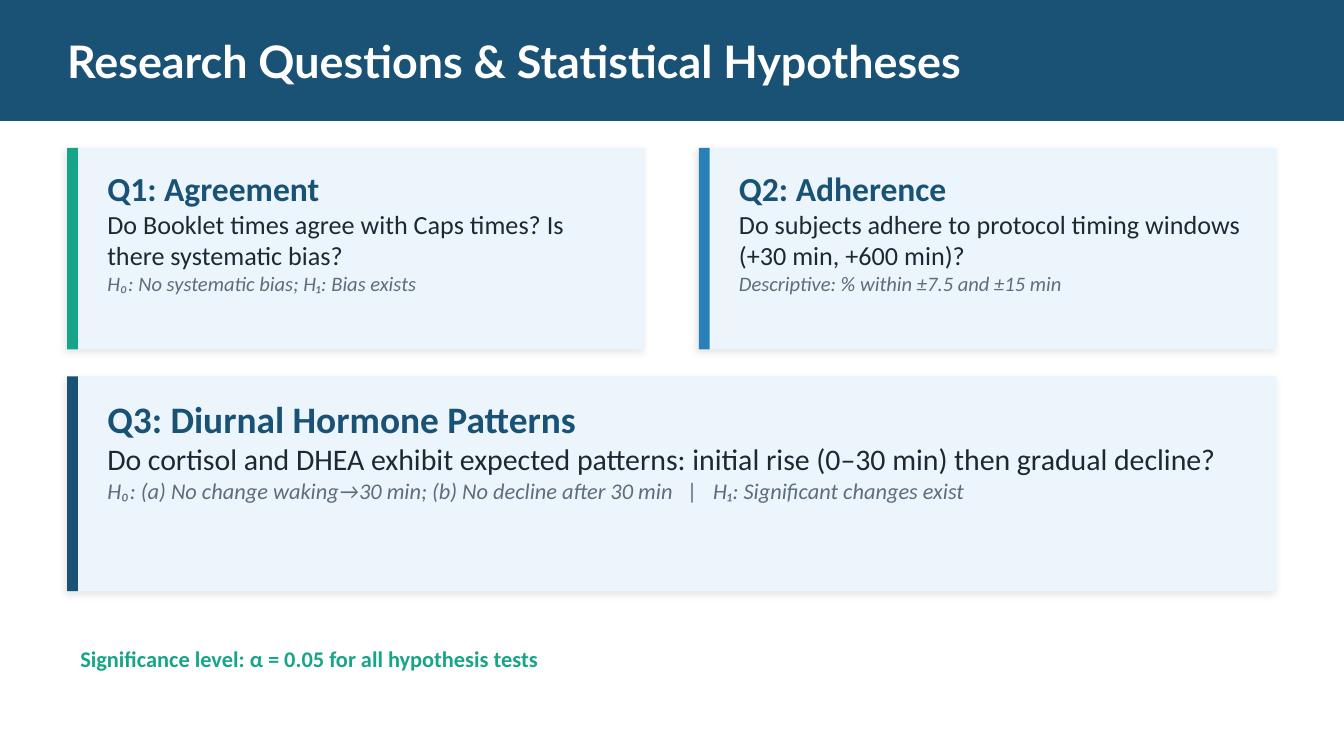
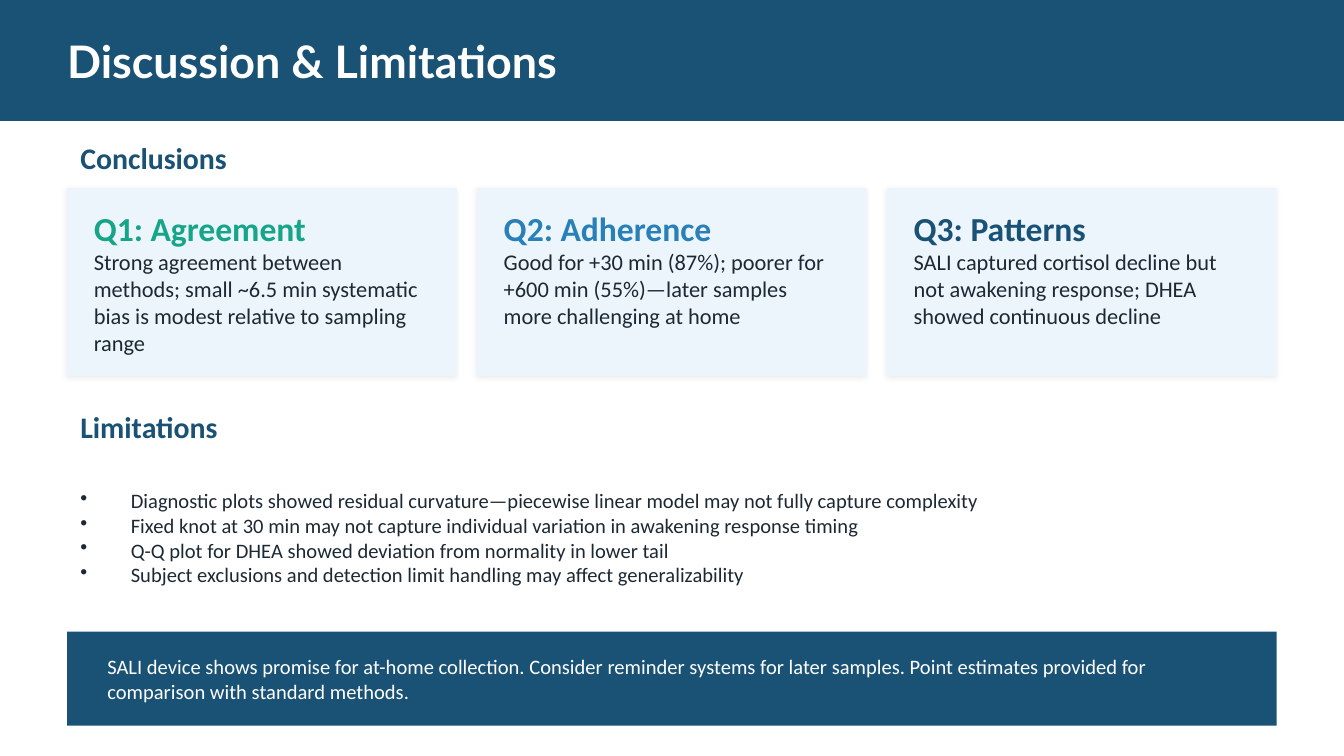
from lxml.etree import SubElement
from pptx import Presentation
from pptx.dml.color import RGBColor
from pptx.enum.shapes import MSO_SHAPE
from pptx.enum.text import MSO_ANCHOR
from pptx.oxml.ns import qn
from pptx.util import Inches, Pt

COLORS = {
    "navy": "1A5276",
    "blue": "2980B9",
    "teal": "17A589",
    "pale": "EBF5FB",
    "ink": "1C2833",
    "gray": "5D6D7E",
    "white": "FFFFFF",
    "black": "000000",
}
BODY_FONT = "Calibri"
TITLE_FONT = "Lato"
PAGE_WIDTH = 10
PAGE_HEIGHT = PAGE_WIDTH * 9 / 16
MARGIN = 0.5
CONTENT_WIDTH = PAGE_WIDTH - 2 * MARGIN

QUESTIONS_TITLE = "Research Questions & Statistical Hypotheses"
QUESTIONS = [
    {"place": (0.5, 1.1, 4.3, 1.5), "text_width": 4, "accent": "teal", "sizes": (18, 14, 11),
     "lines": ("Q1: Agreement",
               "Do Booklet times agree with Caps times? Is there systematic bias?",
               "H₀: No systematic bias; H₁: Bias exists")},
    {"place": (5.2, 1.1, 4.3, 1.5), "text_width": 4, "accent": "blue", "sizes": (18, 14, 11),
     "lines": ("Q2: Adherence",
               "Do subjects adhere to protocol timing windows (+30 min, +600 min)?",
               "Descriptive: % within ±7.5 and ±15 min")},
    {"place": (0.5, 2.8, 9, 1.6), "text_width": 8.7, "accent": "navy", "sizes": (20, 16, 12),
     "lines": ("Q3: Diurnal Hormone Patterns",
               "Do cortisol and DHEA exhibit expected patterns: initial rise (0–30 min) then gradual decline?",
               "H₀: (a) No change waking→30 min; (b) No decline after 30 min   |   H₁: Significant changes exist")},
]
SIGNIFICANCE = "Significance level: α = 0.05 for all hypothesis tests"

DISCUSSION_TITLE = "Discussion & Limitations"
CONCLUSIONS = [
    ("Q1: Agreement", "teal",
     "Strong agreement between methods; small ~6.5 min systematic bias is modest relative to sampling range"),
    ("Q2: Adherence", "blue",
     "Good for +30 min (87%); poorer for +600 min (55%)—later samples more challenging at home"),
    ("Q3: Patterns", "navy",
     "SALI captured cortisol decline but not awakening response; DHEA showed continuous decline"),
]
LIMITATIONS = [
    "Diagnostic plots showed residual curvature—piecewise linear model may not fully capture complexity",
    "Fixed knot at 30 min may not capture individual variation in awakening response timing",
    "Q-Q plot for DHEA showed deviation from normality in lower tail",
    "Subject exclusions and detection limit handling may affect generalizability",
]
TAKEAWAY = ("SALI device shows promise for at-home collection. Consider reminder systems for later samples. "
            "Point estimates provided for comparison with standard methods.")


def add_rect(page, place, color, shadow=None):
    box = page.shapes.add_shape(MSO_SHAPE.RECTANGLE, *map(Inches, place))
    box.shadow.inherit = False
    box.fill.solid()
    box.fill.fore_color.rgb = RGBColor.from_string(COLORS[color])
    box.line.fill.background()
    if shadow:
        opacity, blur, distance = shadow
        effects = box._element.spPr.find(qn("a:effectLst"))
        outer = SubElement(effects, qn("a:outerShdw"), blurRad=str(Pt(blur)), dist=str(Pt(distance)),
                           dir=str(135 * 60000), algn="bl", rotWithShape="0")
        tint = SubElement(outer, qn("a:srgbClr"), val=COLORS["black"])
        SubElement(tint, qn("a:alpha"), val=str(opacity * 1000))


def add_bullet(para):
    properties = para._p.get_or_add_pPr()
    indent = Pt(27)
    properties.set("marL", str(indent))
    properties.set("indent", str(-indent))
    SubElement(properties, qn("a:buSzPct"), val="100000")
    SubElement(properties, qn("a:buChar"), char="•")


def format_text(para, text, size=12, color="ink", font=BODY_FONT, bold=False, italic=False, bullet=False):
    if bullet:
        add_bullet(para)
    span = para.add_run()
    span.text = text
    span.font.name = font
    span.font.size = Pt(size)
    span.font.bold = bold
    span.font.italic = italic
    span.font.color.rgb = RGBColor.from_string(COLORS[color])


def add_text(page, place, lines, anchor=MSO_ANCHOR.MIDDLE, inset=True):
    frame = page.shapes.add_textbox(*map(Inches, place)).text_frame
    frame.word_wrap = True
    frame.vertical_anchor = anchor
    if not inset:
        frame.margin_left = frame.margin_right = frame.margin_top = frame.margin_bottom = 0
    for index, (text, style) in enumerate(lines):
        para = frame.add_paragraph() if index else frame.paragraphs[0]
        format_text(para, text, **style)


def add_page(deck, title):
    page = deck.slides.add_slide(deck.slide_layouts[6])
    add_rect(page, (0, 0, PAGE_WIDTH, 0.9), "navy")
    style = dict(size=24, color="white", font=TITLE_FONT, bold=True)
    add_text(page, (MARGIN, 0.15, CONTENT_WIDTH, 0.6), [(title, style)], inset=False)
    return page


def add_heading(page, top, text):
    style = dict(size=16, color="navy", bold=True)
    add_text(page, (MARGIN, top, CONTENT_WIDTH, 0.35), [(text, style)])


def build_questions(deck):
    page = add_page(deck, QUESTIONS_TITLE)
    styles = (dict(color="navy", bold=True), dict(color="ink"), dict(color="gray", italic=True))
    for question in QUESTIONS:
        left, top, width, height = question["place"]
        add_rect(page, question["place"], "pale", shadow=(10, 4, 2))
        add_rect(page, (left, top, 0.08, height), question["accent"])
        lines = [(text, dict(style, size=size))
                 for text, style, size in zip(question["lines"], styles, question["sizes"])]
        add_text(page, (left + 0.2, top + 0.1, question["text_width"], height - 0.2), lines, MSO_ANCHOR.TOP)
    add_text(page, (MARGIN, 4.7, CONTENT_WIDTH, 0.4), [(SIGNIFICANCE, dict(color="teal", bold=True))])


def build_discussion(deck):
    page = add_page(deck, DISCUSSION_TITLE)
    add_heading(page, 1, "Conclusions")
    top, width, height, gap = 1.4, 2.9, 1.4, 0.15
    for index, (heading, color, finding) in enumerate(CONCLUSIONS):
        left = MARGIN + index * (width + gap)
        add_rect(page, (left, top, width, height), "pale", shadow=(8, 3, 1))
        lines = [(heading, dict(size=18, color=color, bold=True)), (finding, dict(size=12))]
        add_text(page, (left + 0.1, top + 0.1, width - 0.2, height - 0.2), lines, MSO_ANCHOR.TOP)
    add_heading(page, 3, "Limitations")
    add_text(page, (MARGIN, 3.35, CONTENT_WIDTH, 1.3),
             [(text, dict(size=11, bullet=True)) for text in LIMITATIONS])
    add_rect(page, (MARGIN, 4.7, CONTENT_WIDTH, 0.7), "navy")
    add_text(page, (0.7, 4.8, 8.6, 0.5), [(TAKEAWAY, dict(size=11, color="white"))])


def main():
    deck = Presentation()
    deck.slide_width = Inches(PAGE_WIDTH)
    deck.slide_height = Inches(PAGE_HEIGHT)
    build_questions(deck)
    build_discussion(deck)
    deck.save("out.pptx")


if __name__ == "__main__":
    main()
